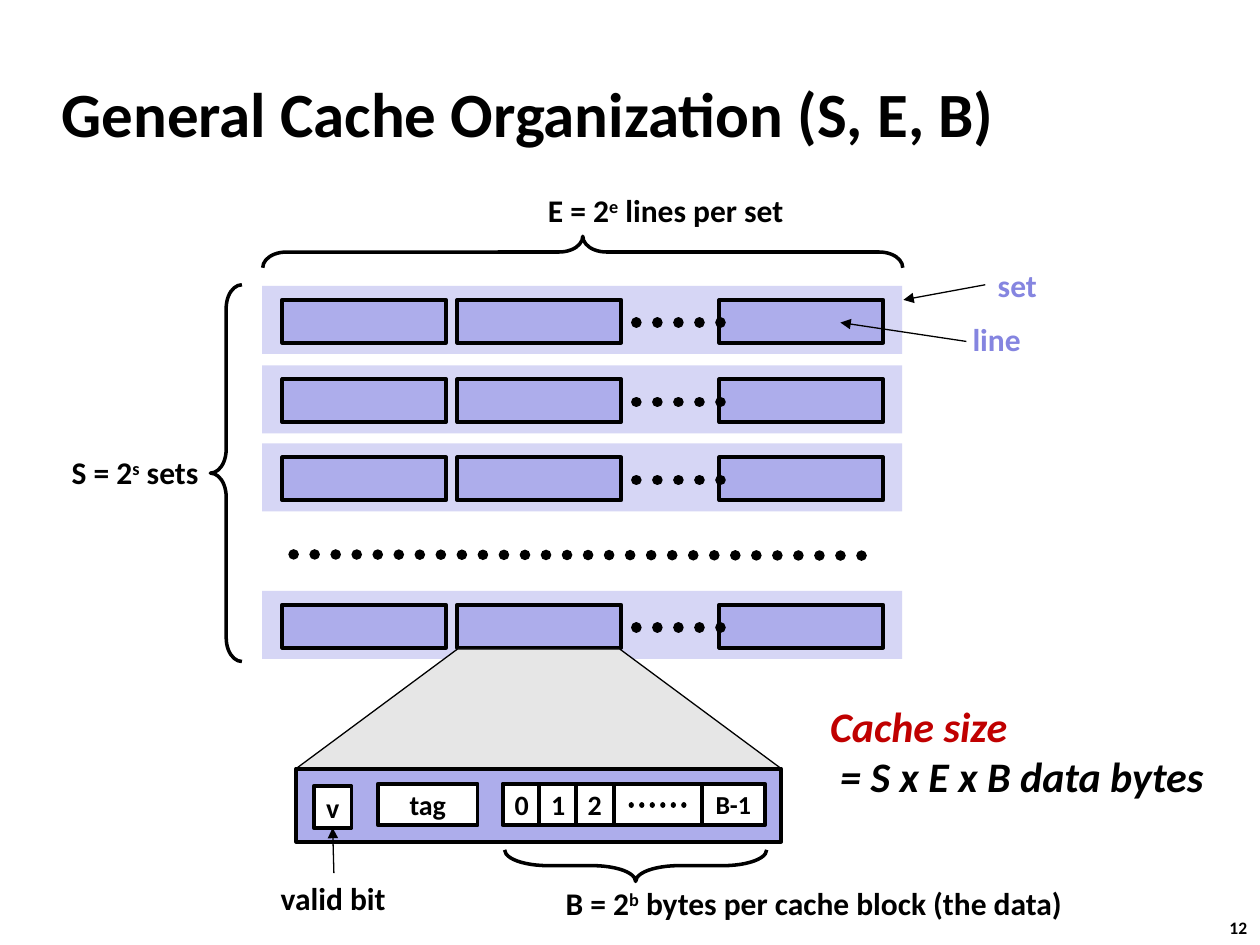
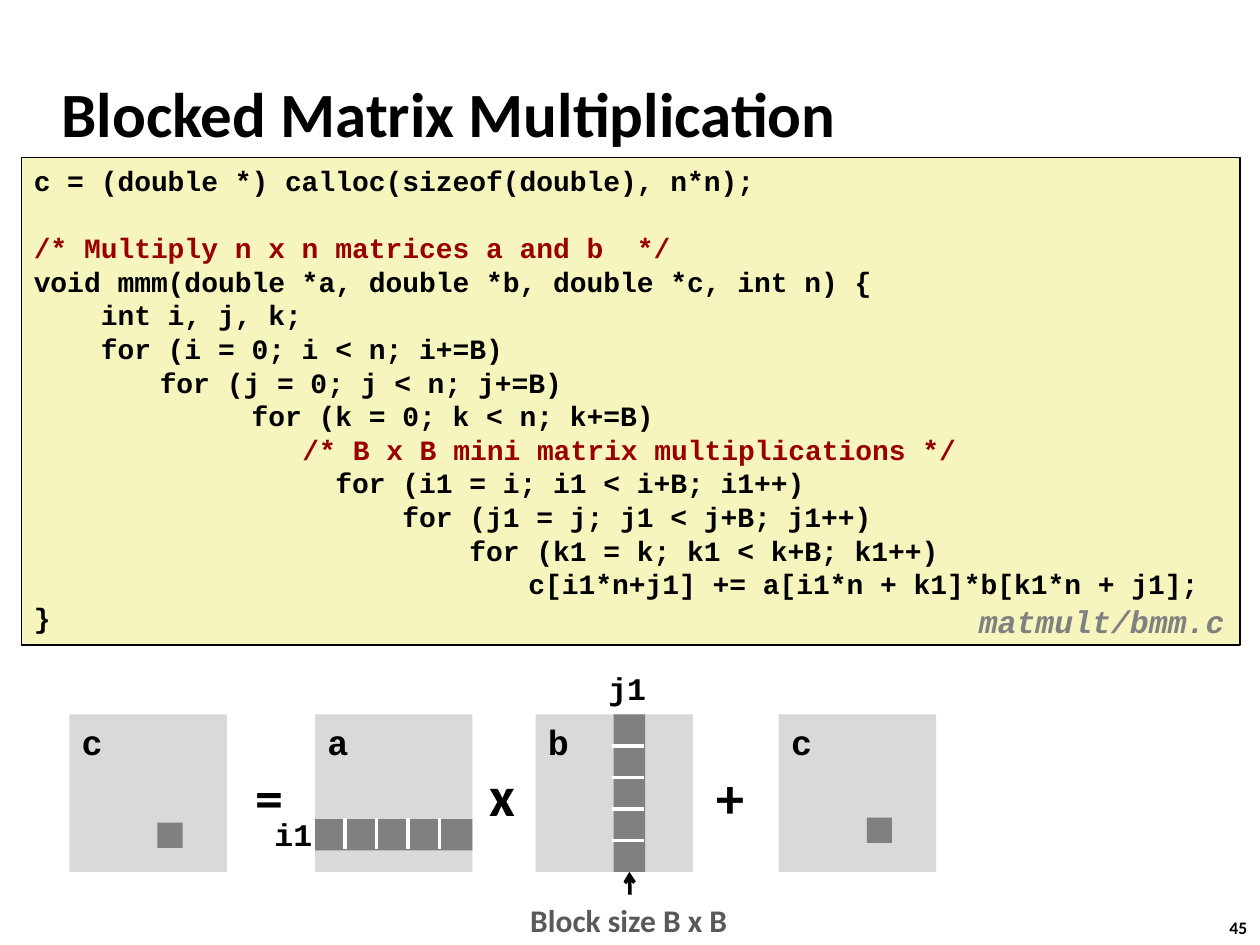
import dataclasses
from typing import Any, Optional

import lxml.etree
import pptx
import pptx.dml.color
import pptx.enum.dml
import pptx.enum.shapes
import pptx.enum.text
import pptx.oxml.ns
import pptx.util

RGB = pptx.dml.color.RGBColor
SHAPES = pptx.enum.shapes.MSO_SHAPE
ANCHOR = pptx.enum.text.MSO_ANCHOR
CENTER = pptx.enum.text.PP_ALIGN.CENTER
GROW = pptx.enum.text.MSO_AUTO_SIZE.SHAPE_TO_FIT_TEXT
Inches = pptx.util.Inches
Pt = pptx.util.Pt

BLACK = RGB(0x00, 0x00, 0x00)
WHITE = RGB(0xFF, 0xFF, 0xFF)
SET_FILL = RGB(0xD6, 0xD6, 0xF5)
LINE_FILL = RGB(0xAD, 0xAD, 0xEB)
LABEL_BLUE = RGB(0x85, 0x85, 0xE0)
ZOOM_FILL = RGB(0xE6, 0xE6, 0xE6)
RED = RGB(0xC0, 0x00, 0x00)
CODE_FILL = RGB(0xF6, 0xF5, 0xBD)
COMMENT_RED = RGB(0x99, 0x00, 0x00)
MATRIX_FILL = RGB(0xD9, 0xD9, 0xD9)
BLOCK_GRAY = RGB(0x80, 0x80, 0x80)
CAPTION_GRAY = RGB(0x59, 0x59, 0x59)

# Font formats
TITLE = {"name": "Calibri", "size": Pt(36), "bold": True}
LABEL = {**TITLE, "size": Pt(18)}
FIELD = {**TITLE, "size": Pt(16)}
LAST_BYTE = {**TITLE, "size": Pt(14.8)}
PAGE_NUMBER = {**TITLE, "size": Pt(10)}
OPERATOR = {**TITLE, "size": Pt(32)}
FORMULA = {**TITLE, "size": Pt(24), "italic": True}
CODE = {**FIELD, "name": "Courier New"}
INDEX = {**CODE, "size": Pt(18)}
MATRIX_NAME = {**CODE, "size": Pt(20)}
FILE_NAME = {**INDEX, "italic": True}


@dataclasses.dataclass(frozen=True)
class Box:
    """A rectangle in inches."""
    left: float
    top: float
    width: float
    height: float

    def lengths(self) -> list[Any]:
        return [Inches(side) for side in dataclasses.astuple(self)]


@dataclasses.dataclass(frozen=True)
class Label:
    """Text at a place; raised marks a superscript exponent between two parts."""
    box: Box
    text: str
    style: dict[str, Any]
    color: RGB = BLACK
    raised: str = ""
    after: str = ""


@dataclasses.dataclass(frozen=True)
class Field:
    """A white cell of the zoomed cache line."""
    box: Box
    text: str
    style: dict[str, Any]


@dataclasses.dataclass(frozen=True)
class Matrix:
    name: str
    left: float


def add_run(paragraph: Any, text: str, style: dict[str, Any], color: RGB) -> Any:
    run = paragraph.add_run()
    run.text = text
    for attribute, value in style.items():
        setattr(run.font, attribute, value)
    run.font.color.rgb = color
    return run


def add_label(slide: Any, label: Label) -> Any:
    text_box = slide.shapes.add_textbox(*label.box.lengths())
    frame = text_box.text_frame
    frame.word_wrap = False
    frame.auto_size = GROW
    paragraph = frame.paragraphs[0]
    add_run(paragraph, label.text, label.style, label.color)
    if label.raised:
        exponent = add_run(paragraph, label.raised, label.style, label.color)
        exponent.font._element.set("baseline", "30000")
        add_run(paragraph, label.after, label.style, label.color)
    return text_box


def add_block(shapes: Any, box: Box, fill: Optional[RGB] = None, line: float = 0,
              kind: Any = SHAPES.RECTANGLE) -> Any:
    block = shapes.add_shape(kind, *box.lengths())
    block.shadow.inherit = False
    if fill is None:
        block.fill.background()
    else:
        block.fill.solid()
        block.fill.fore_color.rgb = fill
    if line:
        block.line.color.rgb = BLACK
        block.line.width = Pt(line)
    else:
        block.line.fill.background()
    return block


def add_brace(slide: Any, box: Box, curl: float = 0.75, rotation: float = 0) -> None:
    brace = add_block(slide.shapes, box, line=2, kind=SHAPES.LEFT_BRACE)
    brace.adjustments[0] = curl
    brace.rotation = rotation


def add_line(shapes: Any, start: tuple[float, float], end: tuple[float, float],
             width: float, color: RGB = BLACK, arrow: str = "", dotted: bool = False) -> Any:
    line = shapes.add_connector(pptx.enum.shapes.MSO_CONNECTOR.STRAIGHT,
                                *[Inches(value) for value in start + end])
    line.line.color.rgb = color
    line.line.width = Pt(width)
    outline = line.line._get_or_add_ln()
    if dotted:
        line.line.dash_style = pptx.enum.dml.MSO_LINE.ROUND_DOT
        outline.set("cap", "rnd")
    if arrow:
        lxml.etree.SubElement(outline, pptx.oxml.ns.qn("a:tailEnd"), type=arrow)
    lxml.etree.SubElement(line._element.spPr, pptx.oxml.ns.qn("a:effectLst"))
    return line


def start_slide(deck: Any, title: str, number: str) -> Any:
    """Blank slide with the shared title and page number."""
    slide = deck.slides.add_slide(deck.slide_layouts[6])
    add_label(slide, Label(Box(9.66, 7.23, 0.37, 0.27), number, PAGE_NUMBER))
    heading = slide.shapes.add_textbox(*Box(0.39, 0.48, 8.3, 0.83).lengths())
    heading.text_frame.word_wrap = True
    heading.text_frame.vertical_anchor = ANCHOR.MIDDLE
    add_run(heading.text_frame.paragraphs[0], title, TITLE, BLACK)
    return slide


def add_cache_set(slide: Any, top: float) -> None:
    group = slide.shapes.add_group_shape().shapes
    add_block(group, Box(2.08, top, 5.08, 0.54), SET_FILL)
    for left in (2.24, 3.63, 5.71):
        add_block(group, Box(left, top + 0.11, 1.3, 0.34), LINE_FILL, 2.25)
    add_line(group, (5.05, top + 0.29), (5.72, top + 0.29), 6, dotted=True)


def add_field(slide: Any, field: Field) -> Any:
    cell = add_block(slide.shapes, field.box, WHITE, 2.25)
    frame = cell.text_frame
    frame.word_wrap = False
    frame.vertical_anchor = ANCHOR.MIDDLE
    if field.text:
        frame.paragraphs[0].alignment = CENTER
        add_run(frame.paragraphs[0], field.text, field.style, BLACK)
    return cell


def build_cache_slide(deck: Any) -> None:
    slide = start_slide(deck, "General Cache Organization (S, E, B)", "12")

    # Sets and their braces
    for top in (2.27, 2.9, 3.52, 4.69):
        add_cache_set(slide, top)
    add_line(slide.shapes, (2.33, 4.4), (7, 4.41), 6, dotted=True)
    add_brace(slide, Box(4.5, -0.54, 0.25, 5.08), rotation=90)
    add_brace(slide, Box(1.67, 2.26, 0.25, 2.99))

    # Zoomed line
    zoom = add_block(slide.shapes, Box(2.35, 5.15, 3.85, 0.95), ZOOM_FILL, 0.75,
                     SHAPES.TRAPEZOID)
    zoom.adjustments[0] = 1.35
    add_block(slide.shapes, Box(2.35, 6.1, 3.85, 0.58), LINE_FILL, 2.25)
    for index in range(3):
        add_field(slide, Field(Box(3.99 + 0.29 * index, 6.22, 0.3, 0.33), str(index), FIELD))
    for field in (
        Field(Box(5.57, 6.22, 0.5, 0.33), "B-1", LAST_BYTE),
        Field(Box(4.87, 6.22, 0.7, 0.33), "", FIELD),
        Field(Box(3, 6.22, 0.79, 0.33), "tag", FIELD),
    ):
        add_field(slide, field)
    valid_field = add_field(slide, Field(Box(2.49, 6.24, 0.3, 0.33), "v", FIELD))
    add_line(slide.shapes, (5.01, 6.39), (5.51, 6.39), 3, dotted=True)
    add_brace(slide, Box(4.92, 5.83, 0.25, 2.08), 1.37, 270)

    # Labels
    for label in (
        Label(Box(4.25, 1.47, 2.14, 0.4), "E = 2", LABEL, BLACK, "e", " lines per set"),
        Label(Box(0.47, 3.55, 1.23, 0.4), "S = 2", LABEL, BLACK, "s", " sets"),
        Label(Box(4.39, 6.97, 4.29, 0.4), "B = 2", LABEL, BLACK, "b",
              " bytes per cache block (the data)"),
        Label(Box(7.62, 2.49, 0.59, 0.4), "line", LABEL, LABEL_BLUE),
    ):
        add_label(slide, label)
    set_label = add_label(slide, Label(Box(7.82, 2.06, 0.51, 0.4), "set", LABEL, LABEL_BLUE))
    valid_label = add_label(slide, Label(Box(2.13, 6.93, 1.04, 0.4), "valid bit", LABEL))

    size_note = add_label(slide, Label(Box(6.49, 5.51, 3.18, 0.91), "Cache size", FORMULA, RED))
    product = size_note.text_frame.add_paragraph()
    product._p.get_or_add_pPr().set("marL", str(Inches(0.08)))
    add_run(product, "= S x E x B data bytes", FORMULA, BLACK)

    # Arrows
    set_arrow = add_line(slide.shapes, (7.82, 2.26), (7.17, 2.38), 0.75, arrow="triangle")
    set_arrow.begin_connect(set_label, 1)
    add_line(slide.shapes, (7.67, 2.71), (6.67, 2.56), 0.75, arrow="triangle")
    valid_arrow = add_line(slide.shapes, (2.65, 6.93), (2.64, 6.57), 0.75, arrow="triangle")
    valid_arrow.begin_connect(valid_label, 0)
    valid_arrow.end_connect(valid_field, 2)


PROGRAM = (
    "c = (double *) calloc(sizeof(double), n*n);",
    "/* Multiply n x n matrices a and b  */",
    "void mmm(double *a, double *b, double *c, int n) {",
    "    int i, j, k;",
    "    for (i = 0; i < n; i+=B)",
    "\tfor (j = 0; j < n; j+=B)",
    "             for (k = 0; k < n; k+=B)",
    "\t\t /* B x B mini matrix multiplications */",
    "                  for (i1 = i; i1 < i+B; i1++)",
    "                      for (j1 = j; j1 < j+B; j1++)",
    "                          for (k1 = k; k1 < k+B; k1++)",
    "\t                      c[i1*n+j1] += a[i1*n + k1]*b[k1*n + j1];",
    "}",
)
CODE_LINE = Pt(19.2)


def add_program(slide: Any) -> None:
    listing = add_block(slide.shapes, Box(0.17, 1.25, 9.67, 3.87), CODE_FILL, 1)
    frame = listing.text_frame
    frame.word_wrap = True
    frame.vertical_anchor = ANCHOR.TOP
    for number, code in enumerate(PROGRAM):
        paragraph = frame.paragraphs[0] if number == 0 else frame.add_paragraph()
        paragraph.alignment = pptx.enum.text.PP_ALIGN.LEFT
        paragraph.line_spacing = CODE_LINE
        if number == 1:
            paragraph.space_before = CODE_LINE
        stops = lxml.etree.SubElement(paragraph._p.get_or_add_pPr(), pptx.oxml.ns.qn("a:tabLst"))
        for inch in (1, 2):
            lxml.etree.SubElement(stops, pptx.oxml.ns.qn("a:tab"), pos=str(Inches(inch)), algn="l")
        is_comment = code.strip().startswith("/*")
        add_run(paragraph, code, CODE, COMMENT_RED if is_comment else BLACK)


def build_matrix_slide(deck: Any) -> None:
    slide = start_slide(deck, "Blocked Matrix Multiplication", "45")
    add_program(slide)
    file_name = add_label(slide, Label(Box(7.67, 4.75, 2.23, 0.39), "matmult/bmm.c",
                                       FILE_NAME, BLOCK_GRAY))
    file_name.text_frame.paragraphs[0].line_spacing = 0.94

    # Matrices and their highlighted blocks
    for matrix in (Matrix("c", 0.55), Matrix("a", 2.5), Matrix("b", 4.25), Matrix("c", 6.18)):
        square = add_block(slide.shapes, Box(matrix.left, 5.67, 1.25, 1.25), MATRIX_FILL)
        square.text_frame.vertical_anchor = ANCHOR.TOP
        name = square.text_frame.paragraphs[0]
        name.alignment = pptx.enum.text.PP_ALIGN.LEFT
        add_run(name, matrix.name, MATRIX_NAME, BLACK)
    for box in (Box(1.25, 6.53, 0.2, 0.2), Box(6.88, 6.49, 0.2, 0.2), Box(2.5, 6.5, 1.25, 0.25)):
        add_block(slide.shapes, box, BLOCK_GRAY)
    block_column = add_block(slide.shapes, Box(4.87, 5.67, 0.25, 1.25), BLOCK_GRAY)
    for index in range(4):
        x, y = 2.74 + 0.25 * index, 5.92 + 0.25 * index
        add_line(slide.shapes, (x, 6.49), (x, 6.74), 2, WHITE)
        add_line(slide.shapes, (5.11, y), (4.86, y), 2, WHITE)

    # Operators, indices and block caption
    for label in (
        Label(Box(1.93, 6, 0.43, 0.64), "=", OPERATOR),
        Label(Box(3.79, 5.99, 0.41, 0.64), "x", OPERATOR),
        Label(Box(5.59, 6, 0.43, 0.64), "+", OPERATOR),
        Label(Box(2.08, 6.42, 0.5, 0.4), "i1", INDEX),
        Label(Box(4.73, 5.26, 0.5, 0.4), "j1", INDEX),
    ):
        add_label(slide, label)
    caption = add_label(slide, Label(Box(4.11, 7.1, 1.78, 0.4), "Block size B x B",
                                     LABEL, CAPTION_GRAY))
    caption.fill.solid()
    caption.fill.fore_color.rgb = WHITE
    block_arrow = add_line(slide.shapes, (5, 7.1), (5, 6.92), 2, arrow="arrow")
    block_arrow.begin_connect(caption, 0)
    block_arrow.end_connect(block_column, 2)


def main() -> None:
    deck = pptx.Presentation()
    deck.slide_width, deck.slide_height = Inches(10), Inches(7.5)
    build_cache_slide(deck)
    build_matrix_slide(deck)
    deck.save("out.pptx")


if __name__ == "__main__":
    main()
